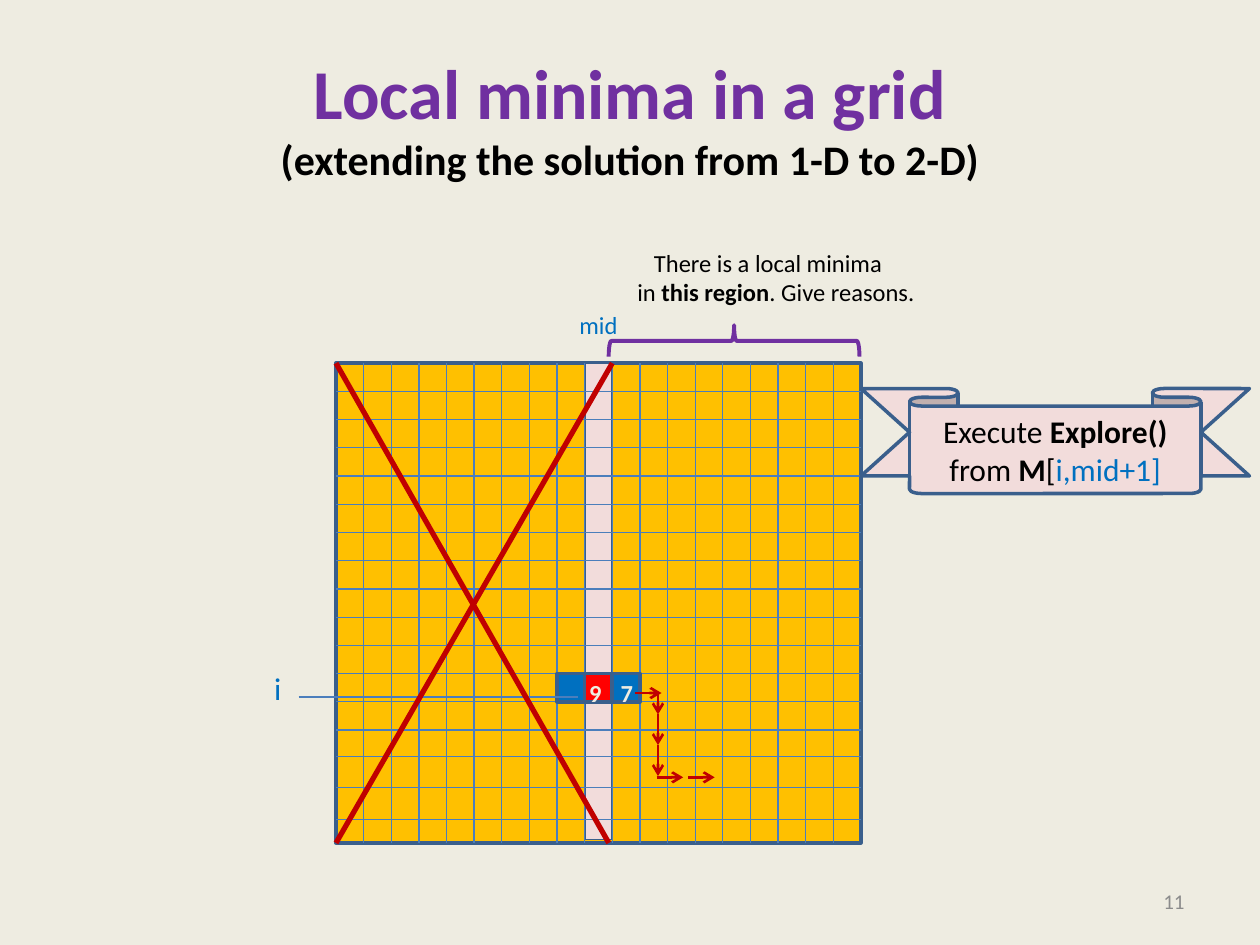
from lxml import etree
from pptx import Presentation
from pptx.dml.color import RGBColor
from pptx.enum.shapes import MSO_CONNECTOR, MSO_SHAPE
from pptx.enum.text import MSO_ANCHOR, PP_ALIGN
from pptx.oxml.ns import qn
from pptx.util import Pt

STRAIGHT = MSO_CONNECTOR.STRAIGHT
RECTANGLE = MSO_SHAPE.RECTANGLE
LEFT_BRACE = MSO_SHAPE.LEFT_BRACE
RIBBON = MSO_SHAPE.DOWN_RIBBON
LEFT, CENTER, RIGHT = PP_ALIGN.LEFT, PP_ALIGN.CENTER, PP_ALIGN.RIGHT
TOP, MIDDLE = MSO_ANCHOR.TOP, MSO_ANCHOR.MIDDLE

FONT = "Calibri"
BACKGROUND = RGBColor(0xEE, 0xEC, 0xE1)
PURPLE = RGBColor(0x70, 0x30, 0xA0)
BLACK = RGBColor(0, 0, 0)
GRAY = RGBColor(0x8C, 0x8C, 0x8C)
GOLD = RGBColor(0xFF, 0xC0, 0x00)
PINK = RGBColor(0xF2, 0xDC, 0xDB)
BLUE = RGBColor(0x00, 0x70, 0xC0)
RED = RGBColor(0xFF, 0, 0)
DARK_RED = RGBColor(0xC0, 0, 0)
OUTLINE = RGBColor(0x3A, 0x5F, 0x8C)
GRID_LINE = RGBColor(0x4B, 0x7E, 0xBC)

COLUMNS, ROWS = 19, 17
MID, ROW_I = 9, 11


def write_text(shape, paragraphs, size=14, color=BLACK, bold=False, align=LEFT,
               anchor=TOP, wrap=True, indent=0):
    """Fill a shape with paragraphs, each a list of (text, overrides) runs."""
    frame = shape.text_frame
    frame.word_wrap = wrap
    frame.vertical_anchor = anchor
    for number, runs in enumerate(paragraphs):
        paragraph = frame.add_paragraph() if number else frame.paragraphs[0]
        paragraph.alignment = align
        if indent and number == 0:
            paragraph._p.get_or_add_pPr().set("indent", str(Pt(indent)))
        for text, overrides in runs:
            run = paragraph.add_run()
            run.text = text
            run.font.name = FONT
            run.font.size = Pt(overrides.get("size", size))
            run.font.bold = overrides.get("bold", bold)
            run.font.color.rgb = overrides.get("color", color)


def add_text(slide, box, paragraphs, **text_format):
    """Add a text box at (left, top, width, height)."""
    shape = slide.shapes.add_textbox(*map(Pt, box))
    write_text(shape, paragraphs, **text_format)


def add_shape(slide, kind, box, fill=None, line=OUTLINE, width=2):
    """Add a preset shape without shadow, with an optional fill."""
    shape = slide.shapes.add_shape(kind, *map(Pt, box))
    shape.shadow.inherit = False
    if fill is None:
        shape.fill.background()
    else:
        shape.fill.solid()
        shape.fill.fore_color.rgb = fill
    shape.line.color.rgb = line
    shape.line.width = Pt(width)
    return shape


def add_line(slide, start, end, color=GRID_LINE, width=0.75, arrow=False):
    """Add a straight connector, with an arrowhead at its end if asked."""
    connector = slide.shapes.add_connector(STRAIGHT, *map(Pt, (*start, *end)))
    connector.line.color.rgb = color
    connector.line.width = Pt(width)
    if arrow:
        head = etree.SubElement(connector.line._get_or_add_ln(), qn("a:tailEnd"))
        head.set("type", "arrow")
    etree.SubElement(connector._element.spPr, qn("a:effectLst"))


def draw_title(slide, box):
    """Place the two title lines in the box."""
    add_text(slide, box, [[("Local minima in a grid", {"size": 40, "color": PURPLE})],
                          [("(extending the solution from 1-D to 2-D)", {})]],
             size=24, bold=True, align=CENTER, anchor=MIDDLE)


def draw_grid(slide, box):
    """Draw the matrix, its middle column and the marked cells of row i."""
    left, top, width, height = box
    right, bottom = left + width, top + height
    cell_width, cell_height = width / COLUMNS, height / ROWS
    mid_left, row_top = left + MID * cell_width, top + ROW_I * cell_height

    add_shape(slide, RECTANGLE, box, GOLD)
    add_shape(slide, RECTANGLE, (mid_left, top, cell_width, height - 2), PINK, width=1)
    for column in range(1, COLUMNS):
        x = left + column * cell_width
        add_line(slide, (x, top), (x, bottom))
    row_offsets = [row * cell_height for row in range(1, 14)] + [224.6, 242.6, 260.6]
    for offset in row_offsets:
        add_line(slide, (left, top + offset), (right, top + offset))

    for step, fill in ((1, BLUE), (-1, BLUE), (0, RED)):
        add_shape(slide, RECTANGLE,
                  (mid_left + step * cell_width, row_top, cell_width, cell_height), fill)
    add_line(slide, (left - 21.4, top + 190.8), (mid_left - 4, top + 190.8))

    labels = (("i", -42.5, 171.5, 21, 18, BLUE, False),
              ("mid", 132, -34, 36.7, 14, BLUE, False),
              ("9", 137.6, 176.5, 21.6, 14, BACKGROUND, True),
              ("7", 155.6, 176.5, 21.6, 14, BACKGROUND, True))
    for text, x, y, label_width, size, color, bold in labels:
        add_text(slide, (left + x, top + y, label_width, 24.5), [[(text, {})]],
                 size=size, color=color, bold=bold, wrap=text == "i")


def draw_region_note(slide, box):
    """Place the remark and the brace that spans the box below it."""
    left, top, width, height = box
    note_height, brace_depth = 41, 18
    brace_top = top + height - brace_depth
    # The brace is turned a quarter, so its box is set before the turn.
    brace = add_shape(slide, LEFT_BRACE,
                      (left + (width - brace_depth) / 2,
                       brace_top + (brace_depth - width) / 2, brace_depth, width),
                      line=PURPLE, width=2.25)
    brace.rotation = 90
    add_text(slide, (left + 9.3, top, 176.4, note_height),
             [[("There is a local minima", {})],
              [("in ", {}), ("this region", {"bold": True}), (". Give reasons.", {})]],
             indent=9.5)


def draw_ribbon(slide, box):
    """Draw the ribbon with the instruction."""
    ribbon = add_shape(slide, RIBBON, box, PINK)
    ribbon.adjustments[0] = 0.167
    ribbon.adjustments[1] = 0.75
    strong = {"bold": True}
    write_text(ribbon, [[("Execute ", {}), ("Explore() ", strong), ("from ", {}),
                         ("M", strong), ("[", {}), ("i,mid+1]", {"color": BLUE})]],
               size=18, align=CENTER, anchor=MIDDLE)


def draw_cross(slide, box):
    """Cross out the left part of the grid."""
    left, top, width, height = box
    right, bottom = left + width, top + height
    add_line(slide, (left, top), (right - 2, bottom), DARK_RED, 3)
    add_line(slide, (right, top), (left, bottom), DARK_RED, 3)


def draw_explore_path(slide, origin):
    """Draw the steps of the walk, starting at the origin."""
    left, top = origin
    steps = (((0, 0), (15, 0)), ((13, 0), (13, 12.3)), ((13, 12.3), (13, 29.8)),
             ((13, 29.8), (13, 47.5)), ((12.3, 48.2), (27.4, 48.2)),
             ((30.2, 48.2), (45.4, 48.2)))
    for (x1, y1), (x2, y2) in steps:
        add_line(slide, (left + x1, top + y1), (left + x2, top + y2),
                 DARK_RED, 1.5, arrow=True)


def build_slide(presentation):
    """Build the slide on local minima."""
    slide = presentation.slides.add_slide(presentation.slide_layouts[6])
    slide.background.fill.solid()
    slide.background.fill.fore_color.rgb = BACKGROUND

    left, top, width, height = grid = (192, 207.5, 300, 274.2)
    draw_title(slide, (36, 21.6, 648, 90))
    add_text(slide, (516, 500.5, 168, 28.8), [[("11", {})]],
             size=12, color=GRAY, align=RIGHT, anchor=MIDDLE)
    draw_grid(slide, grid)
    draw_region_note(slide, (347.8, 138.2, 143.3, 65.6))
    draw_ribbon(slide, (left + width, 222, 222, 60))
    draw_cross(slide, (left, top, (MID + 1) * width / COLUMNS, height))
    draw_explore_path(slide, (left + 171, top + 188.5))


presentation = Presentation()
presentation.slide_width, presentation.slide_height = Pt(720), Pt(540)
build_slide(presentation)
presentation.save("out.pptx")
